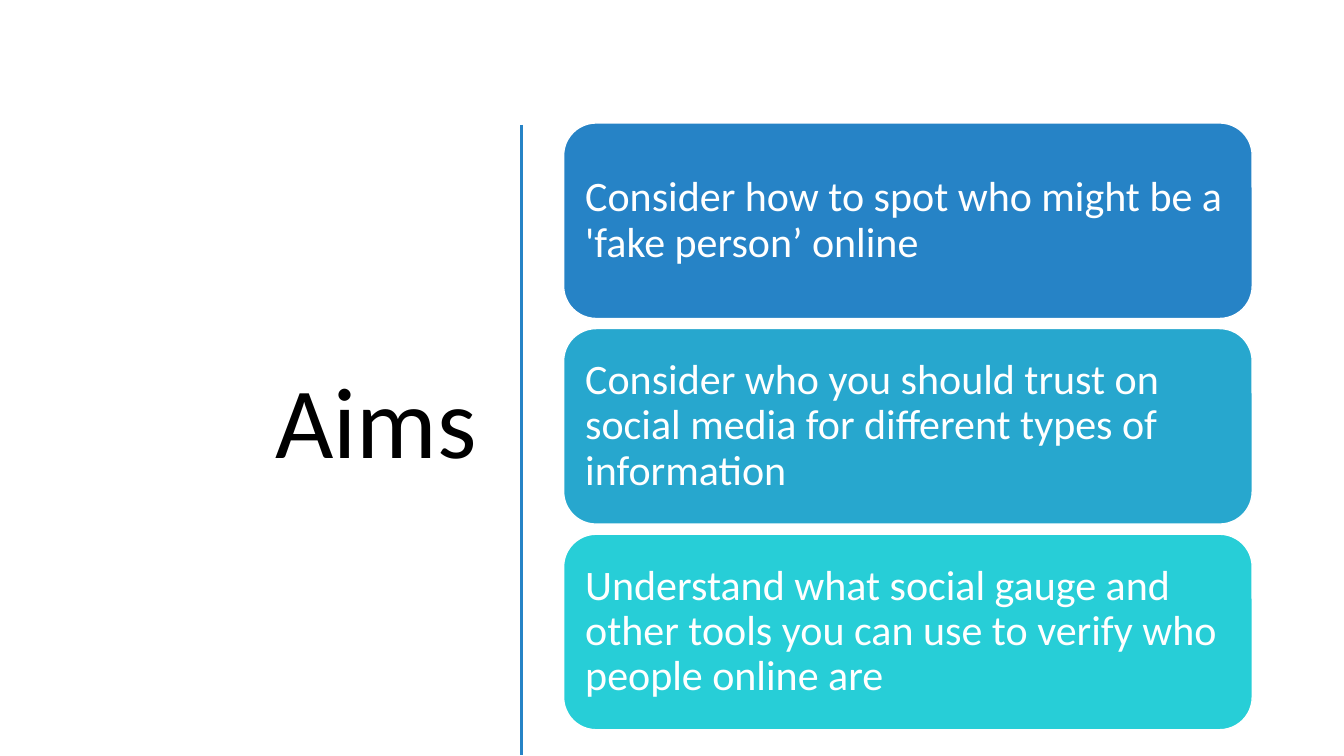
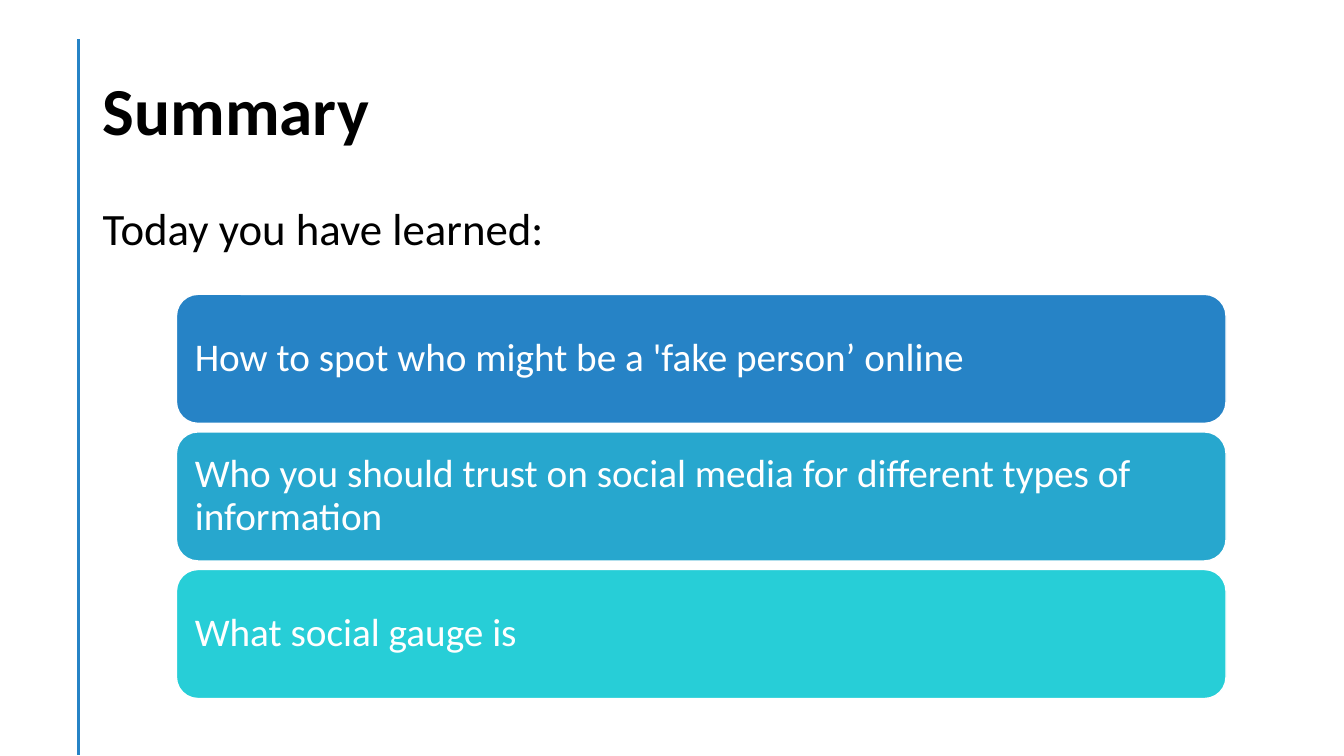
"""Build the aims and summary slides of a lesson on trust online."""
from lxml.etree import SubElement
from pptx import Presentation
from pptx.dml.color import RGBColor
from pptx.enum.shapes import MSO_CONNECTOR, MSO_SHAPE
from pptx.enum.text import MSO_ANCHOR, MSO_AUTO_SIZE, PP_ALIGN
from pptx.oxml.ns import qn
from pptx.util import Inches, Pt

FONT = "Calibri"
BLACK, WHITE, RULE_COLOUR = "000000", "FFFFFF", "2683C6"
CARD_COLOURS = ["2683C6", "27A7CE", "27CED7"]
TITLE_ONLY = 5
RULE_BOTTOM = 7.49

SLIDES = [
    {
        "title": {"text": "Aims", "box": (0.52, 1.17, 4.31, 6.11), "size": 72,
                  "align": PP_ALIGN.RIGHT},
        "rule": (5.17, 1.24),
        "cards": {"box": (5.59, 1.22, 6.83, 1.94), "step": 2.04, "size": 30},
        "texts": [
            "Consider how to spot who might be a 'fake person’ online",
            "Consider who you should trust on social media for different types of information",
            "Understand what social gauge and other tools you can use to verify who people online are",
        ],
    },
    {
        "title": {"text": "Summary", "box": (0.92, 0.4, 11.5, 1.45), "size": 48,
                  "bold": True},
        "rule": (0.78, 0.39),
        "intro": {"text": "Today you have learned:", "box": (0.92, 2, 11.5, 0.8), "size": 32},
        "cards": {"box": (1.75, 2.92, 10.41, 1.28), "step": 1.365, "size": 28},
        "texts": [
            "How to spot who might be a 'fake person’ online",
            "Who you should trust on social media for different types of information",
            "What social gauge is",
        ],
    },
]


def colour(value):
    return RGBColor.from_string(value)


def write(shape, text, size, ink=BLACK, bold=False, align=PP_ALIGN.LEFT,
          anchor=MSO_ANCHOR.MIDDLE):
    frame = shape.text_frame
    frame.word_wrap = True
    frame.auto_size = MSO_AUTO_SIZE.NONE
    frame.vertical_anchor = anchor
    paragraph = frame.paragraphs[0]
    paragraph.alignment = align
    paragraph.line_spacing = 0.9
    run = paragraph.add_run()
    run.text = text
    run.font.name = FONT
    run.font.size = Pt(size)
    run.font.bold = bold
    run.font.color.rgb = colour(ink)


def add_title(slide, box, **style):
    title = slide.shapes.title
    title.left, title.top, title.width, title.height = map(Inches, box)
    write(title, **style)


def add_rule(slide, left, top):
    rule = slide.shapes.add_connector(
        MSO_CONNECTOR.STRAIGHT, *map(Inches, (left, top, left, RULE_BOTTOM)))
    rule.line.color.rgb = colour(RULE_COLOUR)
    rule.line.width = Pt(2)
    SubElement(rule._element.spPr, qn("a:effectLst"))


def add_intro(slide, box, **style):
    intro = slide.shapes.add_textbox(*map(Inches, box))
    write(intro, anchor=MSO_ANCHOR.TOP, **style)


def add_cards(slide, texts, box, step, size):
    left, top, width, height = box
    for index, (text, fill) in enumerate(zip(texts, CARD_COLOURS)):
        card = slide.shapes.add_shape(
            MSO_SHAPE.ROUNDED_RECTANGLE,
            *map(Inches, (left, top + index * step, width, height)))
        card.shadow.inherit = False
        card.fill.solid()
        card.fill.fore_color.rgb = colour(fill)
        card.line.color.rgb = colour(WHITE)
        card.line.width = Pt(1)
        frame = card.text_frame
        frame.margin_left = frame.margin_right = Inches(0.12)
        frame.margin_top = frame.margin_bottom = Inches(0.12)
        write(card, text, size, WHITE)


def main():
    presentation = Presentation()
    presentation.slide_width, presentation.slide_height = Inches(13.33), Inches(7.5)
    for content in SLIDES:
        slide = presentation.slides.add_slide(presentation.slide_layouts[TITLE_ONLY])
        add_rule(slide, *content["rule"])
        add_title(slide, **content["title"])
        if "intro" in content:
            add_intro(slide, **content["intro"])
        add_cards(slide, content["texts"], **content["cards"])
    presentation.save("out.pptx")


if __name__ == "__main__":
    main()
